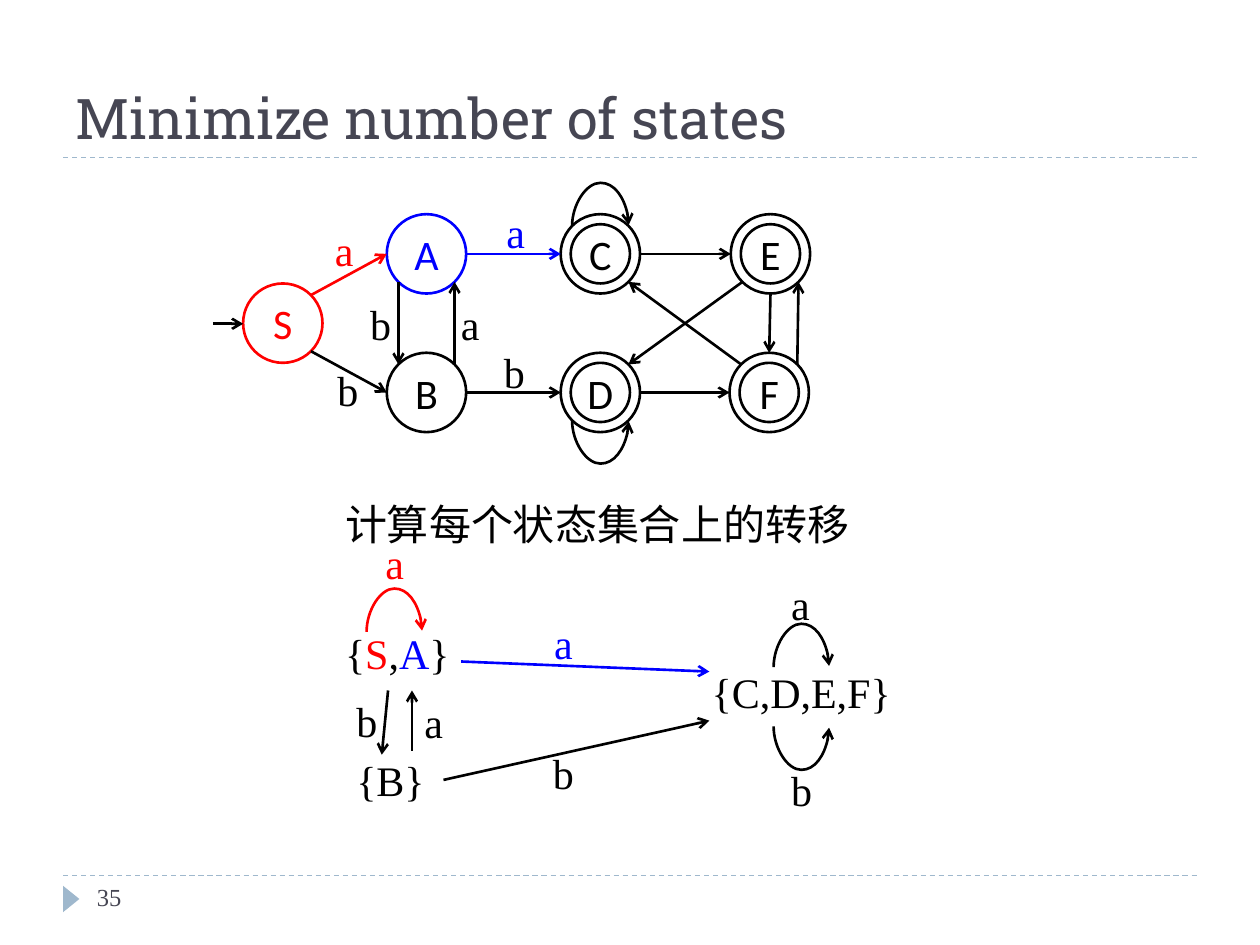
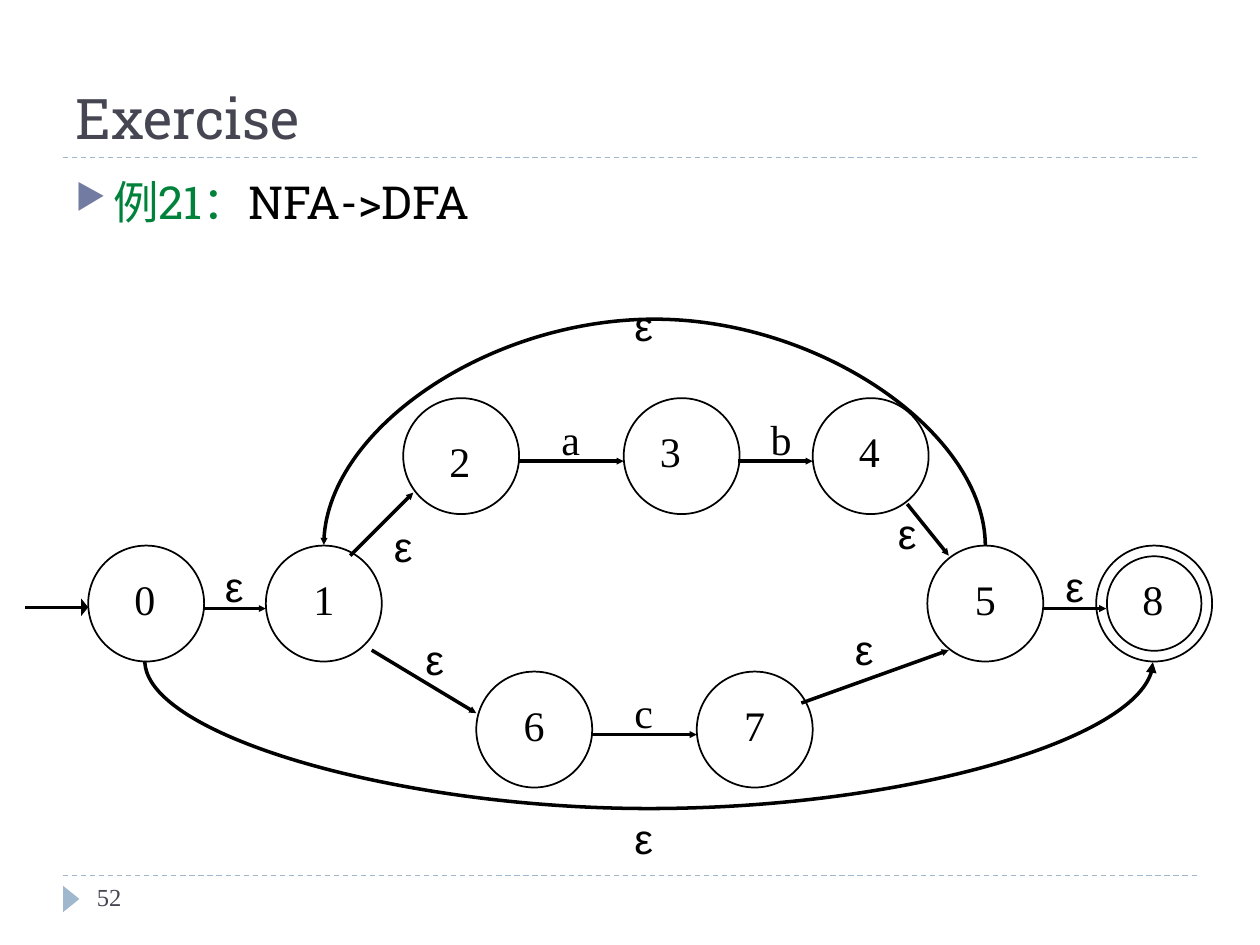
"""Build two automata slides: state minimisation and an NFA exercise."""
import math

import pptx
import pptx.dml.color
import pptx.enum.dml
import pptx.enum.shapes
import pptx.enum.text
import pptx.oxml
import pptx.oxml.ns
import pptx.util
from pptx.util import Inches

COLORS = {"black": "000000", "red": "FF0000", "blue": "0000FF", "green": "00823B",
          "title": "464653", "rule": "9FB8CD", "bullet": "727CA3"}
SERIF, SLAB, SANS, GREEK = "Times New Roman", "Roboto Slab", "Calibri", "Arial"
SHAPES = pptx.enum.shapes.MSO_SHAPE
CONNECTORS = pptx.enum.shapes.MSO_CONNECTOR
ANCHOR = pptx.enum.text.MSO_ANCHOR
ALIGN = pptx.enum.text.PP_ALIGN
AUTO_SIZE = pptx.enum.text.MSO_AUTO_SIZE

SITES = {"e": 0, "se": 45, "s": 90, "sw": 135, "w": 180, "nw": 225, "n": 270, "ne": 315}
THIN = 0.01

DFA_SIZE, DFA_INNER, LOOP_DEPTH = 0.63, 0.47, 0.35
DFA_STATES = {
    "S": (1.93, 2.25, "red", False), "A": (3.07, 1.7, "blue", False),
    "B": (3.07, 2.8, "black", False), "C": (4.45, 1.7, "black", True),
    "D": (4.45, 2.8, "black", True), "E": (5.8, 1.7, "black", True),
    "F": (5.79, 2.8, "black", True),
}
DFA_EDGES = [
    ("S", "ne", "A", "w", "red"), ("S", "se", "B", "w", "black"),
    ("A", "sw", "B", "nw", "black"), ("B", "ne", "A", "se", "black"),
    ("A", "e", "C", "w", "blue"), ("B", "e", "D", "w", "black"),
    ("C", "e", "E", "w", "black"), ("D", "e", "F", "w", "black"),
    ("E", "s", "F", "n", "black"), ("F", "ne", "E", "se", "black"),
    ("F", "nw", "C", "se", "black"), ("E", "sw", "D", "ne", "black"),
]
MINIMAL_EDGES = [
    ((1.69, 2.57), (1.93, 2.57), "black"), ((3.66, 5.25), (5.63, 5.33), "blue"),
    ((3.52, 6.19), (5.63, 5.72), "black"), ((3.08, 5.48), (3.03, 5.99), "black"),
    ((3.27, 5.96), (3.27, 5.48), "black"),
]
LOOPS = [
    (4.54, 4.99, 1.79, -LOOP_DEPTH, "black"), (4.54, 4.99, 3.34, LOOP_DEPTH, "black"),
    (6.14, 6.58, 5.29, -LOOP_DEPTH, "black"), (6.14, 6.58, 5.77, LOOP_DEPTH, "black"),
    (2.91, 3.35, 5.01, -LOOP_DEPTH, "red"),
]
LETTER_WIDTHS = {"a": 0.35, "b": 0.37}
DFA_LABELS = [
    ("a", 2.56, 1.73, "red"), ("b", 2.58, 2.84, "black"), ("b", 2.84, 2.32, "black"),
    ("a", 3.56, 2.32, "black"), ("a", 3.92, 1.59, "blue"), ("b", 3.9, 2.7, "black"),
    ("a", 2.96, 4.22, "red"), ("a", 4.3, 4.85, "blue"), ("b", 4.29, 5.88, "black"),
    ("a", 3.27, 5.48, "black"), ("b", 2.73, 5.47, "black"),
    ("a", 6.18, 4.54, "black"), ("b", 6.18, 6.02, "black"),
]
STATE_SETS = [
    (2.64, 4.93, 1.03, [("{", "black"), ("S", "red"), (",", "black"), ("A", "blue"),
                        ("}", "black")]),
    (5.55, 5.24, 1.62, [("{C,D,E,F}", "black")]),
    (2.73, 5.94, 0.74, [("{B}", "black")]),
    (2.64, 3.91, 4.2, [("计算每个状态集合上的转移", "black")]),
]

NFA_SIZE, NFA_INNER = 0.92, 0.75
NFA_STATES = [
    ("0", 0.7, 4.33, 0.86, 4.5), ("1", 2.11, 4.33, 2.28, 4.5),
    ("2", 3.2, 3.16, 3.36, 3.41), ("3", 4.95, 3.16, 5.03, 3.33),
    ("4", 6.45, 3.16, 6.61, 3.33), ("5", 7.36, 4.33, 7.53, 4.5),
    ("6", 3.78, 5.33, 3.95, 5.5), ("7", 5.53, 5.33, 5.7, 5.5),
    ("8", 8.7, 4.33, 8.86, 4.5),
]
NFA_EDGES = [
    ((1.61, 4.83), (2.11, 4.83)), ((2.78, 4.41), (3.28, 3.91)),
    ((2.95, 5.16), (3.78, 5.66)), ((4.11, 3.66), (4.95, 3.66)),
    ((5.86, 3.66), (6.45, 3.66)), ((4.7, 5.83), (5.53, 5.83)),
    ((7.2, 4), (7.53, 4.41)), ((6.36, 5.58), (7.53, 5.16)),
    ((8.28, 4.83), (8.78, 4.83)),
]
NFA_LABELS = [
    ("ε", 1.61, 4.4), ("ε", 2.95, 4.08), ("ε", 3.2, 4.98), ("ε", 4.86, 2.33),
    ("ε", 4.86, 6.4), ("ε", 6.61, 4.9), ("ε", 6.95, 3.98), ("ε", 8.28, 4.4),
    ("a", 4.28, 3.23), ("b", 5.95, 3.23), ("c", 4.86, 5.4),
]


def assign(target, values):
    """Set every attribute named in values."""
    for name, value in values.items():
        setattr(target, name, value)


def rgb(color):
    """Return the named colour."""
    return pptx.dml.color.RGBColor.from_string(COLORS[color])


def child(parent, tag, **attributes):
    """Append an XML element with attributes."""
    element = pptx.oxml.parse_xml(f"<{tag} {pptx.oxml.ns.nsdecls('a')}/>")
    for name, value in attributes.items():
        element.set(name, str(value))
    parent.append(element)
    return element


def write(shape, runs, size=24, font=SERIF, align=ALIGN.LEFT, **frame_format):
    """Fill a shape with one paragraph of (text, colour) runs."""
    assign(shape.text_frame, frame_format)
    paragraph = shape.text_frame.paragraphs[0]
    paragraph.alignment = align
    for text, color in runs:
        run = paragraph.add_run()
        run.text = text
        assign(run.font, {"size": pptx.util.Pt(size), "name": font})
        run.font.color.rgb = rgb(color)
    return paragraph


def add_text(slide, left, top, width, height, runs, **text_format):
    """Add a text box."""
    box = slide.shapes.add_textbox(*map(Inches, (left, top, width, height)))
    return write(box, runs, **text_format)


def add_label(slide, left, top, width, runs, wrap=False, **text_format):
    """Add a text box one line high that grows with its text."""
    add_text(slide, left, top, width, 0.5, runs, word_wrap=wrap,
             auto_size=AUTO_SIZE.SHAPE_TO_FIT_TEXT, **text_format)


def add_line(slide, start, end, color="black", width=1.5, head=None,
             kind=CONNECTORS.STRAIGHT):
    """Add a connector, with an arrowhead when head is given."""
    line = slide.shapes.add_connector(kind, *map(Inches, (*start, *end)))
    line.line.color.rgb = rgb(color)
    line.line.width = pptx.util.Pt(width)
    if head:
        child(line.line._get_or_add_ln(), "a:tailEnd", **head)
    child(line._element.spPr, "a:effectLst")
    return line


def add_arc(slide, start_x, end_x, y, depth, **line_format):
    """Add a curved arrow between two points at one height; negative depth bends up."""
    center, half = (start_x + end_x) / 2, abs(end_x - start_x) / 2
    if (end_x > start_x) == (depth > 0):
        half = -half
    curve = add_line(slide, (center - THIN / 2, y - half), (center + THIN / 2, y + half),
                     kind=CONNECTORS.CURVE, **line_format)
    properties = curve._element.spPr
    properties.find(pptx.oxml.ns.qn("a:xfrm")).set("rot", str((90 if depth > 0 else 270) * 60000))
    adjustments = properties.find(".//" + pptx.oxml.ns.qn("a:avLst"))
    child(adjustments, "a:gd", name="adj1", fmla=f"val {round(abs(depth) / THIN * 100000)}")


def add_circle(slide, left, top, size, color="black", width=1.5):
    """Add an unfilled circle."""
    circle = slide.shapes.add_shape(SHAPES.OVAL, *map(Inches, (left, top, size, size)))
    circle.shadow.inherit = False
    circle.fill.background()
    circle.line.color.rgb = rgb(color)
    circle.line.width = pptx.util.Pt(width)
    return circle


def add_slide(presentation, title, number):
    """Add a slide with the shared title, rules, marker and number."""
    slide = presentation.slides.add_slide(presentation.slide_layouts[5])
    for y in (6.95, 1.25):
        rule = add_line(slide, (0.5, y), (9.5, y), "rule", 0.75)
        rule.line.dash_style = pptx.enum.dml.MSO_LINE.DASH
    marker = slide.shapes.add_shape(SHAPES.ISOSCELES_TRIANGLE,
                                    *map(Inches, (0.46, 7.07, 0.21, 0.13)))
    marker.rotation = 90
    marker.shadow.inherit = False
    marker.fill.solid()
    marker.fill.fore_color.rgb = rgb("rule")
    marker.line.fill.background()
    heading = slide.shapes.title
    assign(heading, dict(zip(("left", "top", "width", "height"),
                             map(Inches, (0.5, 0.17, 9, 1.08)))))
    write(heading, [(title, "title")], 32, SLAB, vertical_anchor=ANCHOR.BOTTOM,
          auto_size=AUTO_SIZE.NONE)
    add_text(slide, 0.67, 6.95, 2.17, 0.4, [(number, "title")], size=14, word_wrap=True)
    return slide


def site(state, direction):
    """Return the point of a DFA state in a compass direction."""
    left, top = DFA_STATES[state][:2]
    radius, angle = DFA_SIZE / 2, math.radians(SITES[direction])
    return (left + radius * (1 + math.cos(angle)), top + radius * (1 + math.sin(angle)))


def build_minimize(presentation):
    """Draw the DFA and its minimal form."""
    slide = add_slide(presentation, "Minimize number of states", "35")
    head = {"type": "arrow"}
    inset = (DFA_SIZE - DFA_INNER) / 2
    margins = dict.fromkeys(("margin_left", "margin_right", "margin_top", "margin_bottom"), 0)
    for name, (left, top, color, accepting) in DFA_STATES.items():
        circle = add_circle(slide, left, top, DFA_SIZE, color)
        write(circle, [(name, color)], font=SANS, align=ALIGN.CENTER, word_wrap=False,
              vertical_anchor=ANCHOR.MIDDLE, **margins)
        if accepting:
            add_circle(slide, left + inset, top + inset, DFA_INNER)
    for source, leaving, target, entering, color in DFA_EDGES:
        add_line(slide, site(source, leaving), site(target, entering), color, head=head)
    for start, end, color in MINIMAL_EDGES:
        add_line(slide, start, end, color, head=head)
    for start_x, end_x, y, depth, color in LOOPS:
        add_arc(slide, start_x, end_x, y, depth, color=color, head=head)
    for letter, left, top, color in DFA_LABELS:
        add_label(slide, left, top, LETTER_WIDTHS[letter], [(letter, color)])
    for left, top, width, runs in STATE_SETS:
        add_label(slide, left, top, width, runs)


def build_exercise(presentation):
    """Draw the NFA to convert."""
    slide = add_slide(presentation, "Exercise", "52")
    paragraph = add_text(slide, 0.5, 1.33, 9, 5.4,
                         [("例21：", "green"), ("NFA->DFA", "black")],
                         size=26, font=SLAB, word_wrap=True)
    paragraph.space_before = pptx.util.Pt(6)
    properties = paragraph._p.get_or_add_pPr()
    assign(properties, {})
    properties.set("marL", str(Inches(0.3)))
    properties.set("indent", str(-Inches(0.3)))
    child(child(properties, "a:buClr"), "a:srgbClr", val=COLORS["bullet"])
    child(properties, "a:buSzPct", val=76000)
    child(properties, "a:buChar", char="▶")

    small = {"type": "triangle", "w": "sm", "len": "sm"}
    for name, left, top, text_left, text_top in NFA_STATES:
        add_circle(slide, left, top, NFA_SIZE, width=1)
        add_label(slide, text_left, text_top, 0.58, [(name, "black")], wrap=True,
                  align=ALIGN.CENTER)
    inset = (NFA_SIZE - NFA_INNER) / 2
    add_circle(slide, 8.7 + inset, 4.33 + inset, NFA_INNER, width=1)
    for start, end in NFA_EDGES:
        add_line(slide, start, end, width=2, head=small)
    add_line(slide, (0.2, 4.82), (0.7, 4.82), width=2,
             head={"type": "triangle", "w": "lg", "len": "sm"})
    add_arc(slide, 1.15, 9.15, 5.25, 1.19, width=2, head={"type": "triangle"})
    add_arc(slide, 7.82, 2.57, 4.33, -1.83, width=2, head=small)
    for text, left, top in NFA_LABELS:
        add_label(slide, left, top, 0.5, [(text, "black")], wrap=True, align=ALIGN.CENTER,
                  font=GREEK if text == "ε" else SERIF)


presentation = pptx.Presentation()
assign(presentation, {"slide_width": Inches(10), "slide_height": Inches(7.5)})
build_minimize(presentation)
build_exercise(presentation)
presentation.save("out.pptx")
